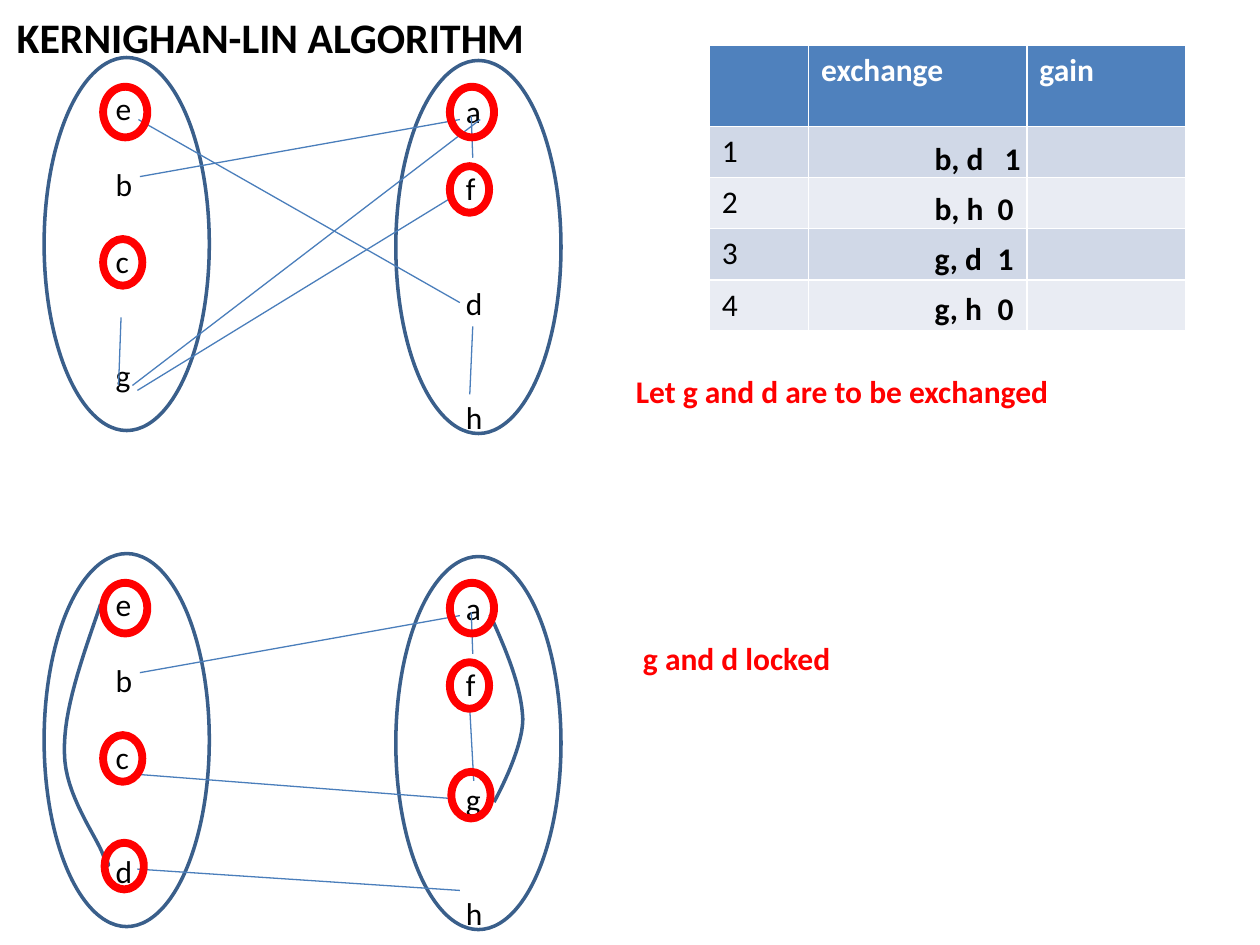
"""Build the Kernighan-Lin slide: two partition graphs and a table of exchange gains."""
from dataclasses import dataclass

from lxml import etree
from pptx import Presentation
from pptx.dml.color import RGBColor
from pptx.enum.shapes import MSO_CONNECTOR, MSO_SHAPE
from pptx.enum.text import MSO_ANCHOR, PP_ALIGN
from pptx.oxml.ns import qn
from pptx.util import Cm, Pt

OVAL = MSO_SHAPE.OVAL
STRAIGHT = MSO_CONNECTOR.STRAIGHT
TOP = MSO_ANCHOR.TOP
LEFT = PP_ALIGN.LEFT

BLACK = RGBColor(0x00, 0x00, 0x00)
WHITE = RGBColor(0xFF, 0xFF, 0xFF)
RED = RGBColor(0xFF, 0x00, 0x00)
OUTLINE_BLUE = RGBColor(0x3A, 0x5F, 0x8B)
EDGE_BLUE = RGBColor(0x4A, 0x7E, 0xBB)
HEADER_BLUE = RGBColor(0x4F, 0x81, 0xBD)
BAND_DARK = RGBColor(0xD0, 0xD8, 0xE7)
BAND_LIGHT = RGBColor(0xE9, 0xEC, 0xF3)

FONT = "Calibri"
LINE_HEIGHT = 22
CURVE_STEPS = 16
LOWER_GRAPH_TOP = 10


@dataclass
class Oval:
    left: float
    top: float
    width: float
    height: float


@dataclass
class Labels:
    left: float
    top: float
    height: float
    names: str
    lines: tuple


@dataclass
class Edge:
    x1: float
    y1: float
    x2: float
    y2: float


@dataclass
class Graph:
    top: float
    names: tuple
    rings: list
    edges: list
    curves: list


PARTITIONS = [Oval(0.89, 1.16, 3.33, 7.52), Oval(7.98, 1.22, 3.33, 7.52)]
COMMON_RINGS = [
    Oval(2.08, 1.75, 0.89, 1.02),
    Oval(9.07, 1.75, 0.89, 1.02),
    Oval(2.08, 4.82, 0.79, 0.94),
    Oval(9.07, 3.35, 0.79, 0.94),
]
COMMON_EDGES = [Edge(2.82, 3.56, 9.27, 2.41), Edge(9.5, 2.34, 9.53, 3.18)]
GRAPHS = [
    Graph(0, ("ebcg", "afdh"), COMMON_RINGS, COMMON_EDGES + [
        Edge(2.77, 7.87, 9.14, 3.96),
        Edge(2.44, 6.4, 2.39, 7.77),
        Edge(9.53, 6.58, 9.47, 7.95),
        Edge(2.79, 2.41, 9.27, 6.1),
        Edge(2.67, 7.77, 9.68, 2.41),
    ], []),
    Graph(LOWER_GRAPH_TOP, ("ebcd", "afgh"), COMMON_RINGS + [
        Oval(2.11, 6.99, 0.79, 0.94),
        Oval(9.1, 5.56, 0.79, 0.94),
    ], COMMON_EDGES + [
        Edge(2.77, 5.61, 9.14, 6.1),
        Edge(2.77, 7.52, 9.27, 7.95),
        Edge(9.47, 4.29, 9.55, 5.74),
    ], [
        [(9.88, 2.39), (10.21, 3.12), (10.52, 3.86), (10.54, 4.5),
         (10.54, 5.13), (9.96, 6.17), (9.96, 6.17)],
        [(2.03, 2.18), (1.65, 3.28), (1.27, 4.34), (1.3, 5.18),
         (1.3, 6.02), (1.96, 6.88), (2.08, 7.24),
         (2.24, 7.59), (2.18, 7.42), (2.13, 7.24)],
    ]),
]
COLUMN_WIDTHS = (2.0, 4.4, 3.2)
ROW_HEIGHTS = (1.63, 1.02, 1.02, 1.02, 1.02)
HEADINGS = ("", "exchange", "gain")
GAINS = ["b, d\t 1", "b, h\t0", "g, d\t1", "g, h\t0"]


def format_text(text_frame, color: RGBColor, size: int = 18, bold: bool = False) -> None:
    for paragraph in text_frame.paragraphs:
        for run in paragraph.runs:
            run.font.name = FONT
            run.font.size = Pt(size)
            run.font.bold = bold
            run.font.color.rgb = color


def add_text(slide, left: float, top: float, width: float, height: float,
             text: str, color: RGBColor, bold: bool = False):
    shape = slide.shapes.add_textbox(Cm(left), Cm(top), Cm(width), Cm(height))
    shape.text_frame.word_wrap = True
    shape.text_frame.text = text
    format_text(shape.text_frame, color, bold=bold)
    return shape.text_frame


def style_outline(shape, color: RGBColor, width: float) -> None:
    shape.shadow.inherit = False
    shape.fill.background()
    shape.line.color.rgb = color
    shape.line.width = Pt(width)


def add_oval(slide, oval: Oval, offset: float, color: RGBColor, width: float) -> None:
    shape = slide.shapes.add_shape(
        OVAL, Cm(oval.left), Cm(oval.top + offset), Cm(oval.width), Cm(oval.height))
    style_outline(shape, color, width)


def add_labels(slide, labels: Labels) -> None:
    text_frame = add_text(slide, labels.left, labels.top, 1, labels.height,
                          "\n".join(labels.names), BLACK)
    for index in range(1, len(labels.lines)):
        blank_lines = labels.lines[index] - labels.lines[index - 1] - 1
        text_frame.paragraphs[index].space_before = Pt(blank_lines * LINE_HEIGHT)


def add_edge(slide, edge: Edge, offset: float) -> None:
    connector = slide.shapes.add_connector(
        STRAIGHT, Cm(edge.x1), Cm(edge.y1 + offset), Cm(edge.x2), Cm(edge.y2 + offset))
    connector.line.color.rgb = EDGE_BLUE
    connector.line.width = Pt(0.75)
    etree.SubElement(connector._element.spPr, qn("a:effectLst"))


def bezier(controls: list, t: float) -> tuple:
    weights = ((1 - t) ** 3, 3 * t * (1 - t) ** 2, 3 * t * t * (1 - t), t ** 3)
    return tuple(sum(weight * point[axis] for weight, point in zip(weights, controls))
                 for axis in (0, 1))


def add_curve(slide, controls: list, offset: float) -> None:
    points = [bezier(controls[start:start + 4], step / CURVE_STEPS)
              for start in range(0, len(controls) - 1, 3)
              for step in range(1, CURVE_STEPS + 1)]
    vertices = [(Cm(x), Cm(y + offset)) for x, y in [controls[0]] + points]
    builder = slide.shapes.build_freeform(*vertices[0])
    builder.add_line_segments(vertices[1:], close=False)
    style_outline(builder.convert_to_shape(), OUTLINE_BLUE, 2)


def add_graph(slide, graph: Graph) -> None:
    left_names, right_names = graph.names
    add_labels(slide, Labels(2.08, 1.67 + graph.top, 6.35, left_names, (0, 2, 4, 7)))
    add_labels(slide, Labels(9.14, 1.74 + graph.top, 7.11, right_names, (0, 2, 5, 8)))
    for partition in PARTITIONS:
        add_oval(slide, partition, graph.top, OUTLINE_BLUE, 2)
    for edge in graph.edges:
        add_edge(slide, edge, graph.top)
    for curve in graph.curves:
        add_curve(slide, curve, graph.top)
    for ring in graph.rings:
        add_oval(slide, ring, graph.top, RED, 4.5)


def add_gain_table(slide) -> None:
    table = slide.shapes.add_table(
        len(ROW_HEIGHTS), len(COLUMN_WIDTHS), Cm(14.3), Cm(0.92),
        Cm(sum(COLUMN_WIDTHS)), Cm(sum(ROW_HEIGHTS))).table
    for column, width in zip(table.columns, COLUMN_WIDTHS):
        column.width = Cm(width)
    for row_index, height in enumerate(ROW_HEIGHTS):
        table.rows[row_index].height = Cm(height)
        is_header = row_index == 0
        band = BAND_DARK if row_index % 2 else BAND_LIGHT
        texts = HEADINGS if is_header else (str(row_index), "", "")
        for column_index, text in enumerate(texts):
            cell = table.cell(row_index, column_index)
            cell.fill.solid()
            cell.fill.fore_color.rgb = HEADER_BLUE if is_header else band
            cell.text_frame.text = text
            format_text(cell.text_frame, WHITE if is_header else BLACK, bold=is_header)


def add_title(slide) -> None:
    title = slide.shapes.title
    title.left, title.top, title.width, title.height = Cm(0.08), Cm(0.1), Cm(14.22), Cm(1.27)
    title.text_frame.text = "KERNIGHAN-LIN ALGORITHM"
    title.text_frame.vertical_anchor = TOP
    title.text_frame.paragraphs[0].alignment = LEFT
    format_text(title.text_frame, BLACK, 24, True)


def main() -> None:
    presentation = Presentation()
    presentation.slide_width, presentation.slide_height = Cm(25.4), Cm(19.05)
    slide = presentation.slides.add_slide(presentation.slide_layouts[5])
    add_title(slide)
    add_gain_table(slide)
    gains = add_text(slide, 18.59, 2.67, 5, 4.04, "\n".join(GAINS), BLACK, True)
    for paragraph in gains.paragraphs:
        paragraph.space_after = Pt(7)
    for graph in GRAPHS:
        add_graph(slide, graph)
    add_text(slide, 12.57, 7.37, 12.42, 1.02, "Let g and d are to be exchanged", RED, True)
    add_text(slide, 12.57, 12.75, 7.44, 1.02, " g and d locked", RED, True)
    presentation.save("out.pptx")


if __name__ == "__main__":
    main()
